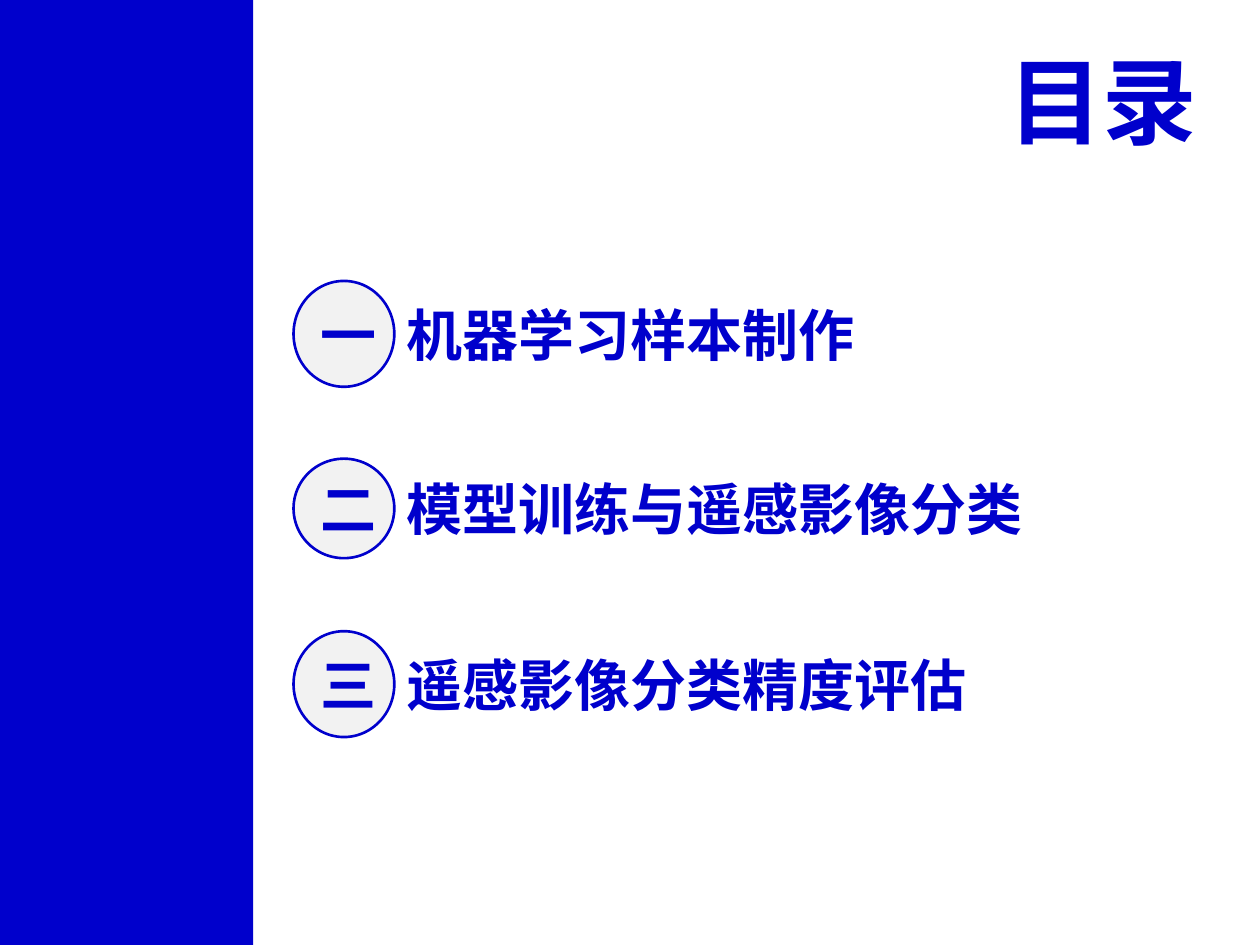
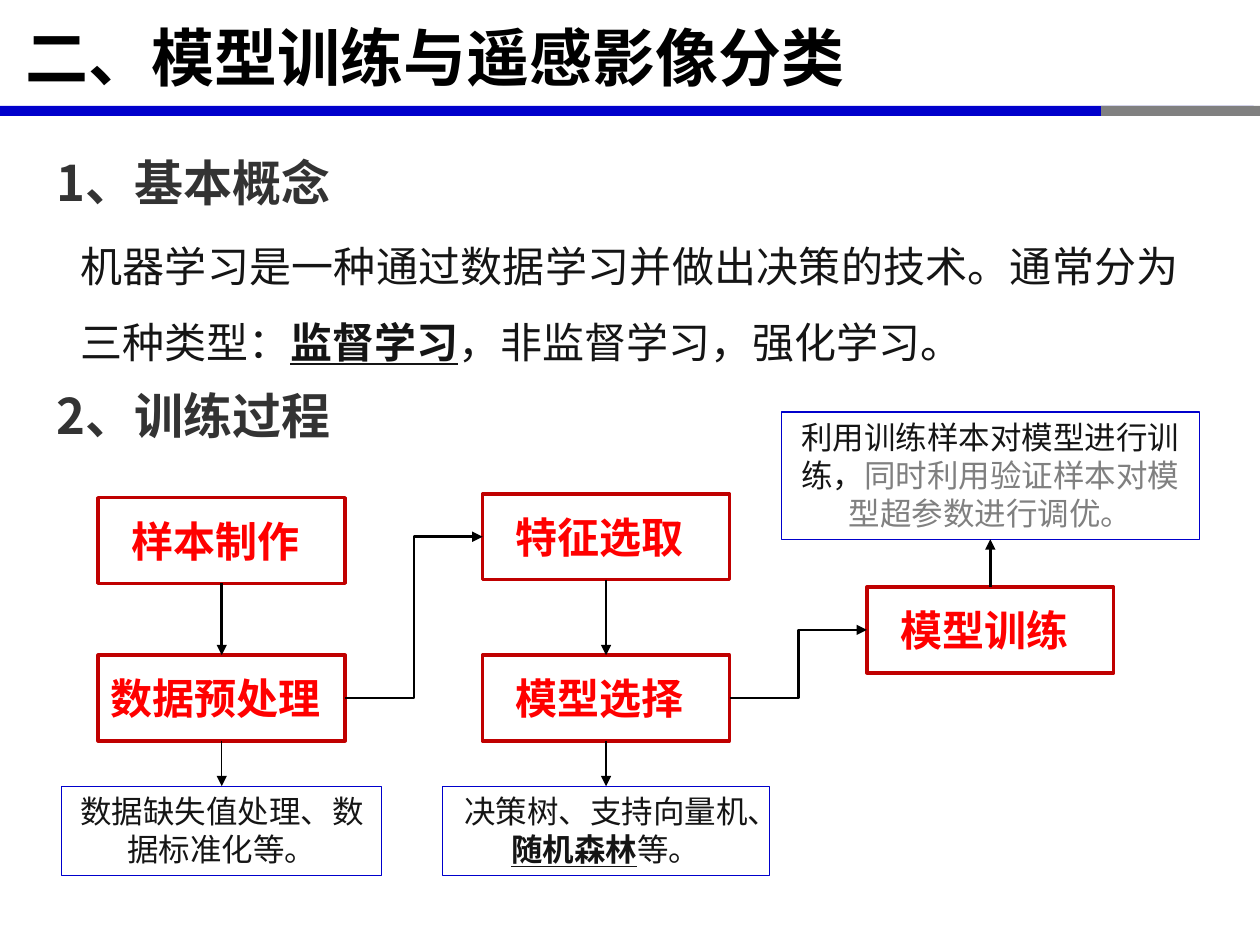
"""Build a contents slide and a model training slide."""
from lxml import etree
from pptx import Presentation
from pptx.dml.color import RGBColor
from pptx.enum.shapes import MSO_CONNECTOR, MSO_SHAPE
from pptx.enum.text import MSO_ANCHOR, PP_ALIGN
from pptx.oxml.ns import qn
from pptx.util import Pt

PX = 9144
RECTANGLE, ELLIPSE = MSO_SHAPE.RECTANGLE, MSO_SHAPE.OVAL
STRAIGHT, ELBOW = MSO_CONNECTOR.STRAIGHT, MSO_CONNECTOR.ELBOW
LEFT, CENTER, RIGHT = PP_ALIGN.LEFT, PP_ALIGN.CENTER, PP_ALIGN.RIGHT
JUSTIFY = PP_ALIGN.JUSTIFY
TOP, MIDDLE = MSO_ANCHOR.TOP, MSO_ANCHOR.MIDDLE
SITE_TOP, SITE_LEFT, SITE_BOTTOM, SITE_RIGHT = range(4)

CJK_FONT, LATIN_FONT = "Noto Sans CJK SC", "Arial"
BLUE, GRAY, WHITE, BLACK = "0000CC", "808080", "FFFFFF", "000000"
PALE, HEADING, BODY = "F2F2F2", "333333", "151515"
RED, DARK_RED = "FF0000", "C00000"
BOX_WIDTH, BOX_HEIGHT = 196, 68
COLUMNS = [78 + 305 * index for index in range(3)]


def color(hex_string):
    """Turn a hex string into a colour."""
    return RGBColor.from_string(hex_string)


def emu(*lengths):
    """Turn px lengths into EMU."""
    return [length * PX for length in lengths]


def write(shape, text, size=18, font=CJK_FONT, fill=BODY, bold=False, align=LEFT,
          anchor=TOP, spacing=None, insets=(10, 5, 10, 5), wrap=True):
    """Write a string, or a list of (string, overrides) runs, into a shape."""
    frame = shape.text_frame
    frame.word_wrap, frame.vertical_anchor = wrap, anchor
    (frame.margin_left, frame.margin_top,
     frame.margin_right, frame.margin_bottom) = emu(*insets)
    paragraph = frame.paragraphs[0]
    paragraph.alignment = align
    if spacing:
        paragraph.line_spacing = spacing
    for words, changes in [(text, {})] if isinstance(text, str) else text:
        run = paragraph.add_run()
        run.text = words
        run.font.size, run.font.name = Pt(size), font
        run.font.bold = changes.get("bold", bold)
        run.font.underline = changes.get("underline", False)
        run.font.color.rgb = color(changes.get("fill", fill))
        east_asian = etree.SubElement(run._r.get_or_add_rPr(), qn("a:ea"))
        east_asian.set("typeface", CJK_FONT)


def add_text(slide, bounds, text, **text_format):
    """Add a text box."""
    write(slide.shapes.add_textbox(*emu(*bounds)), text, **text_format)


def add_block(slide, kind, bounds, fill=None, line=None, line_width=1.5):
    """Add a preset shape with an optional fill and outline."""
    shape = slide.shapes.add_shape(kind, *emu(*bounds))
    shape.shadow.inherit = False
    if fill:
        shape.fill.solid()
        shape.fill.fore_color.rgb = color(fill)
    else:
        shape.fill.background()
    if line:
        shape.line.color.rgb = color(line)
        shape.line.width = Pt(line_width)
    else:
        shape.line.fill.background()
    return shape


def add_contents_entry(slide, numeral, text, top, height):
    """Add a numbered circle with its chapter name."""
    circle = add_block(slide, ELLIPSE, (233, top, 80, height), PALE, BLUE)
    write(circle, numeral, size=32, fill=BLUE, bold=True, align=CENTER, anchor=MIDDLE)
    label_top = top + (height - 64) // 2
    add_text(slide, (313, label_top, 647, 64), text, size=32, font=LATIN_FONT,
             fill=BLUE, bold=True, anchor=MIDDLE)


def add_title(slide, text):
    """Add the slide title above its two-colour band."""
    add_block(slide, RECTANGLE, (0, 84, 995, 8), BLUE)
    add_block(slide, RECTANGLE, (874, 84, 126, 8), GRAY)
    add_text(slide, (0, 1, 986, 87), text, size=36, fill=BLACK, bold=True,
             anchor=MIDDLE, insets=(20, 5, 10, 5))


def add_heading(slide, text, top):
    """Add a section heading."""
    add_text(slide, (35, top, 931, 72), text, size=28, fill=HEADING, bold=True,
             align=JUSTIFY, spacing=1.5)


def add_step(slide, text, column, top):
    """Add a red process box."""
    box = add_block(slide, RECTANGLE, (COLUMNS[column], top, BOX_WIDTH, BOX_HEIGHT),
                    WHITE, DARK_RED, 2)
    write(box, text, size=24, fill=RED, bold=True, align=CENTER, anchor=MIDDLE,
          insets=(0, 5, 10, 5))
    return box


def add_note(slide, text, column, top, width, height):
    """Add a blue outlined note centred on a column."""
    left = COLUMNS[column] + (BOX_WIDTH - width) // 2
    note = add_block(slide, RECTANGLE, (left, top, width, height), None, BLUE, 0.75)
    write(note, text, align=CENTER)
    return note


def add_arrow(slide, start, start_site, end, end_site, kind=STRAIGHT, width=1.5):
    """Join two shapes with an arrow."""
    arrow = slide.shapes.add_connector(kind, 0, 0, 0, 0)
    arrow.begin_connect(start, start_site)
    arrow.end_connect(end, end_site)
    arrow.line.color.rgb = color(BLACK)
    arrow.line.width = Pt(width)
    properties = arrow.element.spPr
    etree.SubElement(properties.find(qn("a:ln")), qn("a:tailEnd")).set("type", "triangle")
    etree.SubElement(properties, qn("a:effectLst"))


def build_contents(slide):
    """Build the contents slide."""
    add_block(slide, RECTANGLE, (0, 0, 201, 750), BLUE)
    add_text(slide, (784, 29, 176, 101), "目录", size=54, font=LATIN_FONT, fill=BLUE,
             bold=True, align=RIGHT, wrap=False)
    for entry in [("一", "机器学习样本制作", 223, 84),
                  ("二", "模型训练与遥感影像分类", 364, 79),
                  ("三", "遥感影像分类精度评估", 501, 84)]:
        add_contents_entry(slide, *entry)


def build_training(slide):
    """Build the model training slide."""
    emphasis = {"bold": True, "underline": True}
    add_title(slide, "二、模型训练与遥感影像分类")
    add_heading(slide, "1、基本概念", 93)
    add_text(slide, (54, 166, 892, 124),
             [("机器学习是一种通过数据学习并做出决策的技术。通常分为三种类型：", {}),
              ("监督学习", emphasis), ("，非监督学习，强化学习。", {})],
             size=24, align=JUSTIFY, spacing=1.5)
    add_heading(slide, "2、训练过程", 278)

    samples = add_step(slide, "样本制作", 0, 395)
    preprocessing = add_step(slide, "数据预处理", 0, 520)
    features = add_step(slide, "特征选取", 1, 392)
    selection = add_step(slide, "模型选择", 1, 520)
    training = add_step(slide, "模型训练", 2, 466)

    cleaning_note = add_note(slide, "数据缺失值处理、数据标准化等。", 0, 624, 254, 71)
    model_note = add_note(slide, [("决策树、支持向量机、", {}), ("随机森林", emphasis),
                                  ("等。", {})], 1, 624, 260, 71)
    tuning_note = add_note(slide, [("利用训练样本对模型进行训练，", {}),
                                   ("同时利用验证样本对模型超参数进行调优。", {"fill": GRAY})],
                           2, 327, 332, 101)

    for start, end in [(preprocessing, features), (selection, training)]:
        add_arrow(slide, start, SITE_RIGHT, end, SITE_LEFT, ELBOW)
    for start, end, width in [(samples, preprocessing, 1.5), (features, selection, 1.5),
                              (preprocessing, cleaning_note, 0.75),
                              (selection, model_note, 0.75)]:
        add_arrow(slide, start, SITE_BOTTOM, end, SITE_TOP, width=width)
    add_arrow(slide, training, SITE_TOP, tuning_note, SITE_BOTTOM)


def main():
    """Build and save the presentation."""
    presentation = Presentation()
    presentation.slide_width, presentation.slide_height = emu(1000, 750)
    blank = presentation.slide_layouts[6]
    for build in (build_contents, build_training):
        build(presentation.slides.add_slide(blank))
    presentation.save("out.pptx")


if __name__ == "__main__":
    main()
